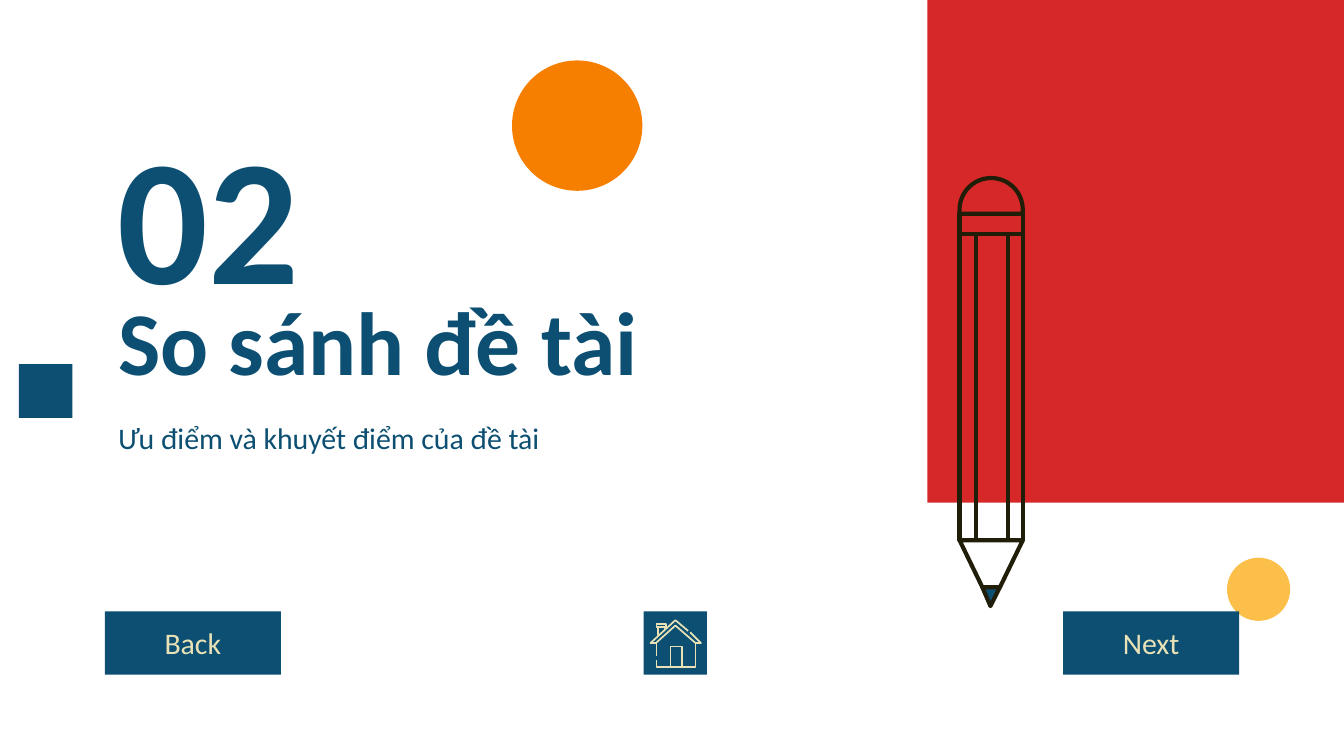
from math import cos, pi, sin

from pptx import Presentation
from pptx.dml.color import RGBColor
from pptx.enum.shapes import MSO_SHAPE
from pptx.enum.text import MSO_ANCHOR, MSO_AUTO_SIZE, PP_ALIGN
from pptx.util import Inches, Pt

COLORS = {
    "navy": "0C4F72",
    "red": "D62828",
    "orange": "F77F00",
    "amber": "FCBF49",
    "cream": "EAE2B7",
    "ink": "201D09",
}


def color(name):
    return RGBColor.from_string(COLORS[name])


def place(s, box):
    for name, value in zip(("left", "top", "width", "height"), box):
        setattr(s, name, Inches(value))


def write(s, text, size, fill="navy", bold=False,
          align=PP_ALIGN.LEFT, anchor=MSO_ANCHOR.TOP):
    tf = s.text_frame
    frame = {"word_wrap": True, "auto_size": MSO_AUTO_SIZE.NONE,
             "vertical_anchor": anchor}
    for side in ("left", "top", "right", "bottom"):
        frame[f"margin_{side}"] = Inches(0.1)
    for name, value in frame.items():
        setattr(tf, name, value)
    p = tf.paragraphs[0]
    p.alignment = align
    p.space_before = Pt(0)
    r = p.add_run()
    r.text = text
    font = {"name": "Calibri", "size": Pt(size), "bold": bold}
    for name, value in font.items():
        setattr(r.font, name, value)
    r.font.color.rgb = color(fill)


def add_block(shapes, kind, box, fill):
    s = shapes.add_shape(kind, *map(Inches, box))
    s.shadow.inherit = False
    s.fill.solid()
    s.fill.fore_color.rgb = color(fill)
    s.line.fill.background()
    return s


def add_button(shapes, left, text):
    s = add_block(shapes, MSO_SHAPE.RECTANGLE, (left, 4.55, 1.31, 0.47), "navy")
    write(s, text, 16, "cream", align=PP_ALIGN.CENTER, anchor=MSO_ANCHOR.MIDDLE)


def add_outline(shapes, points, line, width, closed=True, fill=None):
    points = [(Inches(x), Inches(y)) for x, y in points]
    builder = shapes.build_freeform(*points[0])
    builder.add_line_segments(points[1:], close=closed)
    s = builder.convert_to_shape()
    s.shadow.inherit = False
    if fill:
        s.fill.solid()
        s.fill.fore_color.rgb = color(fill)
    else:
        s.fill.background()
    s.line.color.rgb = color(line)
    s.line.width = Pt(width)


def add_pencil(shapes):
    left, right = 7.14, 7.61
    ferrule, body, cone, tip = 1.59, 1.74, 4.02, 4.37

    def rectangle(x1, y1, x2, y2):
        return [(x1, y1), (x2, y1), (x2, y2), (x1, y2)]

    # Rounded eraser
    radius, steps = (right - left) / 2, 32
    dome = [(left + radius - radius * cos(pi * i / steps),
             1.56 - radius * sin(pi * i / steps)) for i in range(steps + 1)]
    eraser = [(left, ferrule), *dome, (right, ferrule)]

    parts = [
        rectangle(left, body, right, cone),
        rectangle(7.26, body, 7.5, cone),
        rectangle(left, ferrule, right, body),
        [(7.31, tip), (7.44, tip), (right, cone), (left, cone)],
        eraser,
    ]
    for points in parts:
        add_outline(shapes, points, "ink", 2.25)
    add_outline(shapes, [(7.31, tip), (7.37, 4.51), (7.44, tip)],
                "ink", 2.25, fill="navy")


def add_home(shapes):
    add_block(shapes, MSO_SHAPE.RECTANGLE, (4.79, 4.55, 0.47, 0.47), "navy")
    # Icon strokes on a grid of 200 units to the inch
    left, top, units = 4.83, 4.61, 200
    roof = [(61, 19), (77, 35), (69, 35), (39, 9), (10, 35),
            (2, 35), (39, 1), (58, 17)]
    walls = [(11, 60), (11, 71), (69, 71), (69, 35)]
    door = [(32, 71), (32, 40), (49, 40), (49, 71)]
    chimney_cap = [(11, 7), (25, 7), (25, 11), (11, 11), (11, 7)]
    short_lines = [[(11, 35), (11, 55)], [(13, 12), (13, 23)],
                   [(23, 12), (23, 14)]]
    for stroke in [roof, walls, door, chimney_cap, *short_lines]:
        points = [(left + x / units, top + y / units) for x, y in stroke]
        add_outline(shapes, points, "cream", 0.9, closed=False)


def main():
    prs = Presentation()
    prs.slide_width = Inches(10)
    prs.slide_height = prs.slide_width * 9 // 16
    slide = prs.slides.add_slide(prs.slide_layouts[0])
    shapes = slide.shapes

    # Section heading
    title, subtitle = slide.placeholders
    place(title, (0.78, 2.11, 5.14, 0.83))
    write(title, "So sánh đề tài", 48, bold=True, anchor=MSO_ANCHOR.MIDDLE)
    number = shapes.add_textbox(*map(Inches, (0.78, 0.68, 5.14, 1.55)))
    write(number, "02", 96, bold=True)
    place(subtitle, (0.78, 3.02, 5.14, 0.4))
    write(subtitle, "Ưu điểm và khuyết điểm của đề tài", 16)

    # Decoration
    add_block(shapes, MSO_SHAPE.RECTANGLE, (6.9, 0, 3.1, 3.74), "red")
    add_pencil(shapes)
    add_block(shapes, MSO_SHAPE.RECTANGLE, (0.14, 2.71, 0.4, 0.4), "navy")
    add_block(shapes, MSO_SHAPE.OVAL, (3.81, 0.45, 0.97, 0.97), "orange")
    add_block(shapes, MSO_SHAPE.OVAL, (9.13, 4.15, 0.47, 0.47), "amber")

    # Navigation
    add_button(shapes, 0.78, "Back")
    add_home(shapes)
    add_button(shapes, 7.91, "Next")

    prs.save("out.pptx")


if __name__ == "__main__":
    main()
